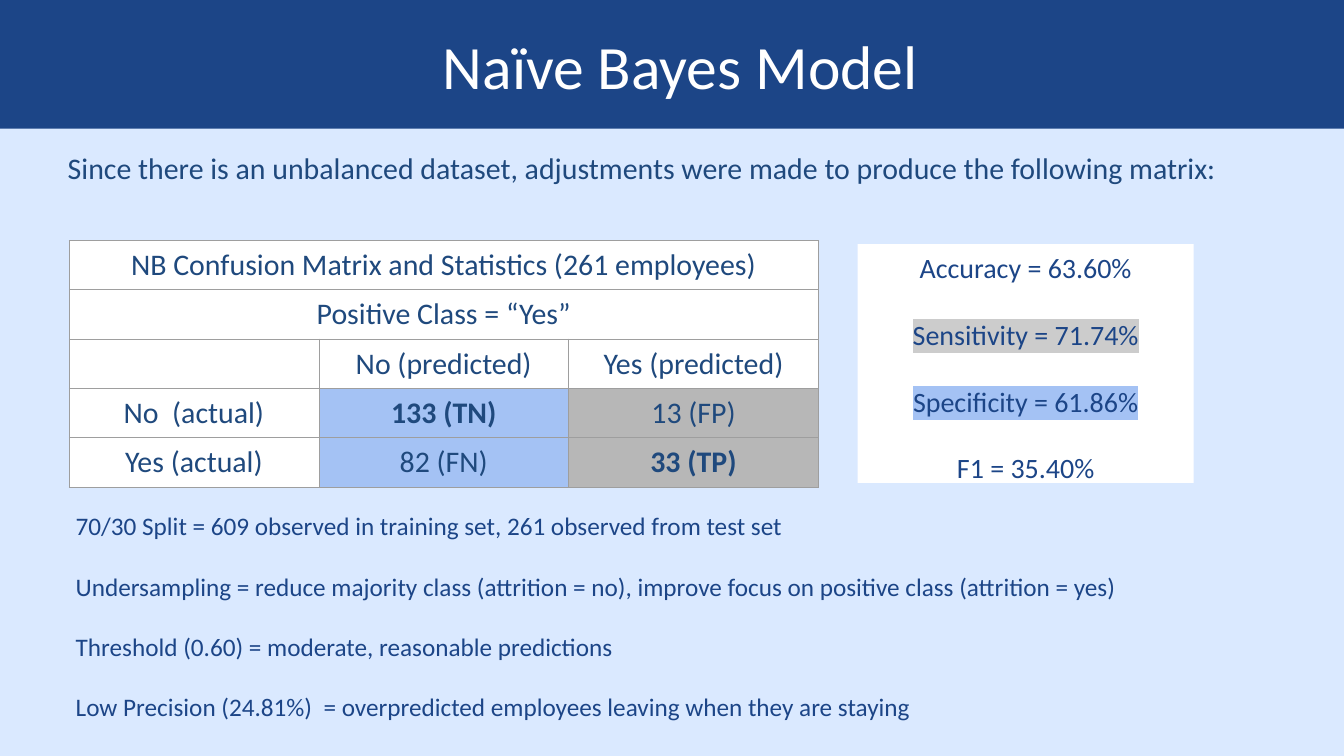
from lxml.etree import SubElement
from pptx import Presentation
from pptx.dml.color import RGBColor
from pptx.enum.shapes import MSO_SHAPE
from pptx.enum.text import MSO_ANCHOR, PP_ALIGN
from pptx.oxml.ns import qn
from pptx.util import Pt

COLORS = {
    "sky": "DAE9FF", "navy": "1C4587", "ink": "1F497D", "white": "FFFFFF",
    "blue": "A4C2F4", "gray": "B7B7B7", "silver": "CCCCCC", "rule": "9E9E9E",
}


def rgb(name):
    return RGBColor.from_string(COLORS[name])


class Deck:
    font = "Calibri"
    inset = 7.2

    def __init__(self, width, height):
        self.prs = Presentation()
        self.prs.slide_width, self.prs.slide_height = Pt(width), Pt(height)

    def slide(self, background):
        self.s = self.prs.slides.add_slide(self.prs.slide_layouts[6])
        fill = self.s.background.fill
        fill.solid()
        fill.fore_color.rgb = rgb(background)

    def run(self, p, text, size, color, bold=False, highlight=None):
        r = p.add_run()
        r.text = text
        r.font.size = Pt(size)
        r.font.bold = bold
        r.font.color.rgb = rgb(color)
        if highlight:
            mark = SubElement(r.font._element, qn("a:highlight"))
            SubElement(mark, qn("a:srgbClr"), val=COLORS[highlight])
        r.font.name = self.font

    def lines(self, tf, lines, size, color, align=PP_ALIGN.LEFT, gap=0, spacing=None, inset=inset):
        tf.word_wrap = True
        tf.vertical_anchor = MSO_ANCHOR.TOP
        tf.margin_left = tf.margin_right = tf.margin_top = tf.margin_bottom = Pt(inset)
        for i, (text, highlight) in enumerate(lines):
            p = tf.add_paragraph() if i else tf.paragraphs[0]
            p.alignment = align
            if i:
                p.space_before = Pt(gap)
            if spacing:
                p.line_spacing = spacing
            self.run(p, text, size, color, highlight=highlight)

    def text(self, x, y, w, h, lines, size, color, **style):
        sp = self.s.shapes.add_textbox(Pt(x), Pt(y), Pt(w), Pt(h))
        self.lines(sp.text_frame, lines, size, color, **style)

    def rect(self, x, y, w, h, fill):
        sp = self.s.shapes.add_shape(MSO_SHAPE.RECTANGLE, Pt(x), Pt(y), Pt(w), Pt(h))
        sp.shadow.inherit = False
        sp.fill.solid()
        sp.fill.fore_color.rgb = rgb(fill)
        sp.line.fill.background()
        return sp

    def cell(self, cell, text, fill, bold, size, color):
        tcPr = cell._tc.get_or_add_tcPr()
        for side in ("lnL", "lnR", "lnT", "lnB"):
            ln = SubElement(tcPr, qn(f"a:{side}"), w=str(Pt(0.75)))
            solid = SubElement(ln, qn("a:solidFill"))
            SubElement(solid, qn("a:srgbClr"), val=COLORS["rule"])
        cell.fill.solid()
        cell.fill.fore_color.rgb = rgb(fill)
        cell.margin_left = cell.margin_right = Pt(self.inset)
        cell.margin_top = cell.margin_bottom = Pt(self.inset)
        if text:
            p = cell.text_frame.paragraphs[0]
            p.alignment = PP_ALIGN.CENTER
            self.run(p, text, size, color, bold)

    def table(self, x, y, w, row_height, rows, fills, bold, size, color):
        n, m = len(rows), len(fills[0])
        frame = self.s.shapes.add_table(n, m, Pt(x), Pt(y), Pt(w), Pt(n * row_height))
        table = frame.table
        table.first_row = table.horz_banding = False
        for i, row in enumerate(rows):
            table.rows[i].height = Pt(row_height)
            if len(row) == 1:
                table.cell(i, 0).merge(table.cell(i, m - 1))
            for j in range(m):
                text = row[j] if j < len(row) else ""
                self.cell(table.cell(i, j), text, fills[i][j], (i, j) in bold, size, color)


def main():
    deck = Deck(1440, 810)
    deck.slide("sky")
    deck.rect(0, 0, 1440, 138, "navy")
    deck.text(30, -2, 1398, 80, [("Naïve Bayes Model", None)], 66, "white",
              align=PP_ALIGN.CENTER, spacing=1.4, inset=0)
    intro = "Since there is an unbalanced dataset, adjustments were made to produce the following matrix:"
    deck.text(65.5, 153.5, 1293, 60, [(intro, None)], 32, "ink")

    notes = [
        "70/30 Split = 609 observed in training set, 261 observed from test set",
        "Undersampling = reduce majority class (attrition = no), improve focus on positive class (attrition = yes)",
        "Threshold (0.60) = moderate, reasonable predictions",
        "Low Precision (24.81%)  = overpredicted employees leaving when they are staying",
    ]
    deck.text(74, 540, 1309, 260, [(note, None) for note in notes], 27, "navy", gap=32)

    stats = [
        ("Accuracy = 63.60%", None),
        ("Sensitivity = 71.74%", "silver"),
        ("Specificity = 61.86%", "blue"),
        ("F1 = 35.40%", None),
    ]
    panel = deck.rect(919, 261.5, 360, 256, "white")
    deck.lines(panel.text_frame, stats, 30, "navy", align=PP_ALIGN.CENTER, gap=35.5)

    matrix = [
        ["NB Confusion Matrix and Statistics (261 employees)"],
        ["Positive Class = “Yes”"],
        ["", "No (predicted)", "Yes (predicted)"],
        ["No  (actual)", "133 (TN)", "13 (FP)"],
        ["Yes (actual)", "82 (FN)", "33 (TP)"],
    ]
    fills = [["white"] * 3] * 3 + [["white", "blue", "gray"]] * 2
    deck.table(74, 257.5, 803, 52.8, matrix, fills, {(3, 1), (4, 2)}, 32, "ink")
    deck.prs.save("out.pptx")


if __name__ == "__main__":
    main()
